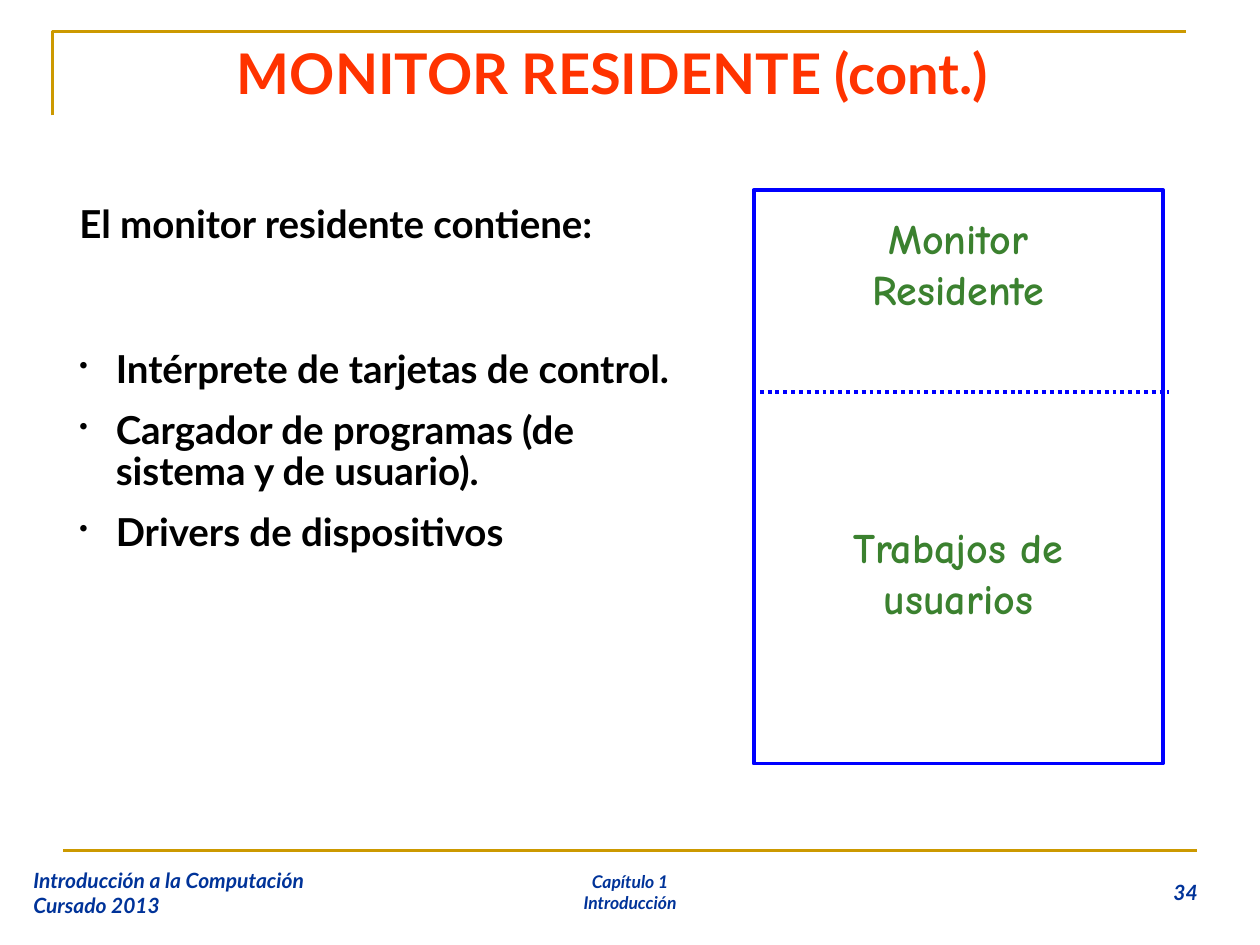
from collections import namedtuple
from dataclasses import dataclass

from lxml import etree
from pptx import Presentation
from pptx import util as u
from pptx.dml.color import RGBColor
from pptx.enum import dml, shapes, text
from pptx.oxml import ns

Pt = u.Pt
Box = namedtuple("Box", "x y w h")
LEFT, MID, RIGHT = text.PP_ALIGN.LEFT, text.PP_ALIGN.CENTER, text.PP_ALIGN.RIGHT


@dataclass(frozen=True)
class Theme:
    font: str = "Lato"
    hand: str = "Comic Neue"
    gold: str = "CC9900"
    navy: str = "003399"
    red: str = "FF3300"
    black: str = "000000"
    blue: str = "0000FF"
    green: str = "3B812F"
    head: int = 32
    label: int = 24
    body: int = 22
    foot: int = 12
    small: int = 10
    thin: float = 1.5
    thick: float = 2.25


T = Theme()


def rgb(color):
    return RGBColor.from_string(color)


def pts(*nums):
    return [Pt(n) for n in nums]


def sub(node, tag, **attrs):
    return etree.SubElement(node, ns.qn(tag), attrs)


def ink(line, color, width):
    line.color.rgb = rgb(color)
    line.width = Pt(width)


def rule(slide, x1, y1, x2, y2, color, width):
    line = slide.shapes.add_connector(
        shapes.MSO_CONNECTOR.STRAIGHT, *pts(x1, y1, x2, y2))
    ink(line.line, color, width)
    sub(line._element.spPr, "a:effectLst")
    return line


def setup(frame, anchor):
    frame.word_wrap = True
    frame.auto_size = text.MSO_AUTO_SIZE.NONE
    frame.vertical_anchor = anchor


def write(frame, words, size, color, align=LEFT, face=T.font, slant=False):
    frame.text = words
    for para in frame.paragraphs:
        para.alignment = align
        for run in para.runs:
            font = run.font
            font.name, font.size = face, Pt(size)
            font.bold, font.italic = True, slant
            font.color.rgb = rgb(color)


def add_text(slide, box, anchor):
    frame = slide.shapes.add_textbox(*pts(*box)).text_frame
    setup(frame, anchor)
    return frame


def bullet(para):
    props = para._p.get_or_add_pPr()
    sub(sub(props, "a:buClr"), "a:srgbClr", val=T.black)
    sub(props, "a:buSzPct", val="65000")
    sub(props, "a:buChar", char="•")


def add_title(slide, box):
    # Corner rule, then the title inside it
    pen = slide.shapes.build_freeform(Pt(box.x + 2), Pt(box.y + 48))
    pen.add_line_segments(
        [pts(box.x + 2, box.y), pts(box.x + 650, box.y)], close=False)
    edge = pen.convert_to_shape()
    edge.fill.background()
    edge.shadow.inherit = False
    ink(edge.line, T.gold, T.thin)

    title = slide.shapes.title
    title.left, title.top, title.width, title.height = pts(*box)
    setup(title.text_frame, text.MSO_ANCHOR.MIDDLE)
    write(title.text_frame, "MONITOR RESIDENTE (cont.)", T.head, T.red, MID)


def add_list(slide, box):
    frame = add_text(slide, box, text.MSO_ANCHOR.TOP)
    lines = ["El monitor residente contiene:",
             "Intérprete de tarjetas de control.",
             "Cargador de programas (de sistema y de usuario).",
             "Drivers de dispositivos"]
    write(frame, "\n".join(lines), T.body, T.black)
    lead, *items = frame.paragraphs
    for para in frame.paragraphs:
        para.line_spacing = 0.9
        props = para._p.get_or_add_pPr()
        props.set("marL", str(Pt(20.9)))
        props.set("indent", str(-Pt(20.9)))
    lead.space_before = Pt(5.5)
    for para in items:
        para.space_before, para.space_after = Pt(0), Pt(11)
        bullet(para)
    items[0].space_before = Pt(59)


def add_memory(slide, box):
    # Memory block: monitor above, user jobs below
    rect = slide.shapes.add_shape(shapes.MSO_SHAPE.RECTANGLE, *pts(*box))
    rect.fill.background()
    rect.shadow.inherit = False
    ink(rect.line, T.blue, T.thick)
    frame = rect.text_frame
    setup(frame, text.MSO_ANCHOR.TOP)
    frame.margin_top = Pt(25.2)
    write(frame, "Monitor\nResidente\nTrabajos de\nusuarios",
          T.label, T.green, MID, T.hand)
    for para, gap in zip(frame.paragraphs, (15, 15, 132.7, 15)):
        para.line_spacing, para.space_before = 0.5, Pt(gap)

    # Dotted border between the two parts
    x, y = box.x + 3.6, box.y + 115.2
    split = rule(slide, x, y, x + box.w, y, T.blue, T.thick)
    split.line.dash_style = dml.MSO_LINE.ROUND_DOT


def add_footer(slide, box):
    rule(slide, box.x + 24, box.y, box.x + 672, box.y, T.gold, T.thin)
    parts = [
        (0, 200, "Introducción a la Computación Cursado 2013", T.foot, LEFT),
        (234, 228, "Capítulo 1\nIntroducción", T.small, MID),
        (588.5, 84, "34", T.foot, RIGHT),
    ]
    for x, w, words, size, align in parts:
        frame = add_text(slide, Box(box.x + x, box.y + 6, w, box.h - 6),
                         text.MSO_ANCHOR.MIDDLE)
        if align == RIGHT:
            frame.margin_right = 0
        write(frame, words, size, T.navy, align, slant=True)


def main():
    deck = Presentation()
    deck.slide_width, deck.slide_height = pts(720, 540)
    slide = deck.slides.add_slide(deck.slide_layouts[5])
    add_title(slide, Box(28, 18, 644.4, 46.8))
    add_list(slide, Box(38.2, 113.8, 373, 287.3))
    add_memory(slide, Box(430.6, 108.7, 234, 327.6))
    add_footer(slide, Box(12, 486, 696, 42))
    deck.save("out.pptx")


if __name__ == "__main__":
    main()
